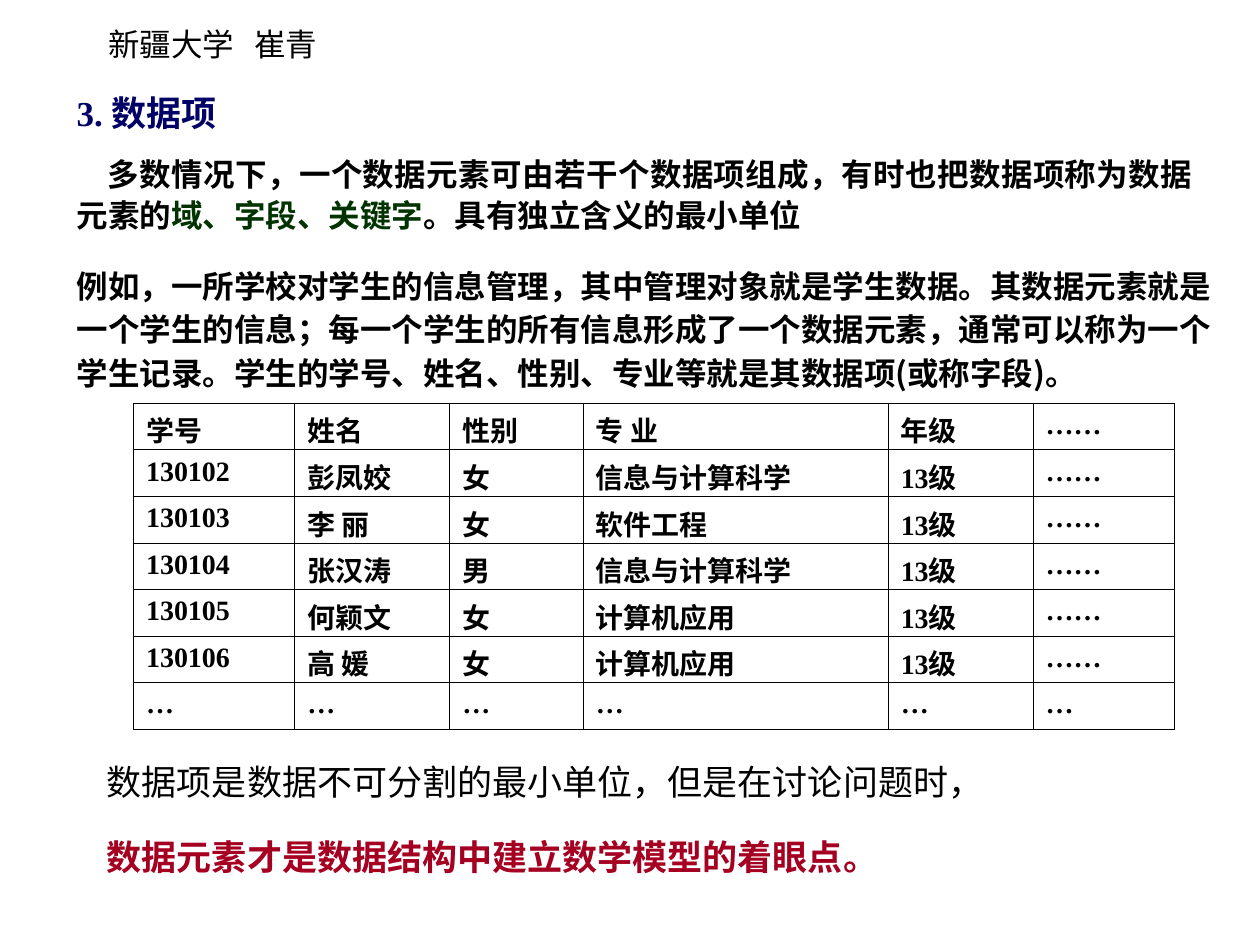
from dataclasses import dataclass

import pptx
import pptx.dml.color
import pptx.enum.text
import pptx.oxml
import pptx.oxml.ns
import pptx.util

# Grid of 100 columns and 75 rows on a 10 by 7.5 inch slide
CELL = pptx.util.Inches(0.1)
HUES = {"ink": "000000", "navy": "000066", "green": "003300", "red": "A50021"}
HAN, ROMAN = "Noto Sans CJK SC", "Times New Roman"
ALIGN = pptx.enum.text.PP_ALIGN
ANCHOR = pptx.enum.text.MSO_ANCHOR


@dataclass
class Span:
    text: str
    hue: str = "ink"
    bold: bool = True


@dataclass
class Block:
    left: float
    top: float
    width: float
    height: float
    paras: list[list[Span]]
    size: int = 18
    face: str = HAN
    wrap: bool = True
    middle: bool = False
    align: ALIGN = ALIGN.LEFT
    lead: float = 1.0
    gap: int = 0  # points between paragraphs
    indent: float = 0  # first line, in grid columns
    tab: float = 0  # tab stop, in grid columns


def grid(count: float) -> int:
    return round(count * CELL)


def style(run, span: Span, size: int, face: str) -> None:
    font = run.font
    font.size, font.bold, font.name = pptx.util.Pt(size), span.bold, face
    font.color.rgb = pptx.dml.color.RGBColor.from_string(HUES[span.hue])
    asian = pptx.oxml.parse_xml(
        f'<a:ea {pptx.oxml.ns.nsdecls("a")} typeface="{HAN}"/>')
    run.font._element.find(pptx.oxml.ns.qn("a:latin")).addnext(asian)


def draw_block(slide, block: Block) -> None:
    box = slide.shapes.add_textbox(
        *map(grid, (block.left, block.top, block.width, block.height)))
    frame = box.text_frame
    frame.word_wrap = block.wrap
    frame.vertical_anchor = ANCHOR.MIDDLE if block.middle else ANCHOR.TOP
    for num, spans in enumerate(block.paras):
        para = frame.add_paragraph() if num else frame.paragraphs[0]
        props = para._p.get_or_add_pPr()
        if block.indent:
            props.set("indent", str(grid(block.indent)))
        if block.tab:
            props.append(pptx.oxml.parse_xml(
                f'<a:tabLst {pptx.oxml.ns.nsdecls("a")}>'
                f'<a:tab pos="{grid(block.tab)}" algn="l"/></a:tabLst>'))
        para.alignment, para.line_spacing = block.align, block.lead
        if num:
            para.space_before = pptx.util.Pt(block.gap)
        for span in spans:
            run = para.add_run()
            run.text = span.text
            style(run, span, block.size, block.face)


def draw_cell(cell, text: str) -> None:
    cell.text_frame.text = text
    # Room for the tall Han line in a low row
    cell.margin_bottom = 0
    style(cell.text_frame.paragraphs[0].runs[0], Span(text), 16, ROMAN)
    props = cell._tc.get_or_add_tcPr()
    for side in "LRTB":
        props.append(pptx.oxml.parse_xml(
            f'<a:ln{side} {pptx.oxml.ns.nsdecls("a")} w="{pptx.util.Pt(0.45)}">'
            f'<a:solidFill><a:srgbClr val="{HUES["ink"]}"/></a:solidFill>'
            f'</a:ln{side}>'))
    cell.fill.background()


def draw_table(slide, left: float, top: float, widths: list[float],
               high: float, rows: list[list[str]]) -> None:
    table = slide.shapes.add_table(
        len(rows), len(widths), grid(left), grid(top),
        grid(sum(widths)), grid(high * len(rows))).table
    table.first_row = table.horz_banding = False
    for col, width in zip(table.columns, widths):
        col.width = grid(width)
    for row, texts in zip(table.rows, rows):
        row.height = grid(high)
        for cell, text in zip(row.cells, texts):
            draw_cell(cell, text)


# Wording; names of two letters are spread with an en space
PUPILS = [
    ("130102", "彭凤姣", "女", "信息与计算科学"),
    ("130103", "李 丽", "女", "软件工程"),
    ("130104", "张汉涛", "男", "信息与计算科学"),
    ("130105", "何颖文", "女", "计算机应用"),
    ("130106", "高 媛", "女", "计算机应用"),
]
ROWS = [
    ["学号", "姓名", "性别", "专 业", "年级", "……"],
    *([*pupil, "13级", "……"] for pupil in PUPILS),
    ["…"] * 6,
]
BLOCKS = [
    # Author line
    Block(7.6, 1.5, 18.7, 4, [[Span("新疆大学\t崔青", bold=False)]],
          wrap=False, tab=11.6),
    # Heading
    Block(5.1, 6.8, 16.5, 4.4, [[Span("3. 数据项", "navy")]], 20, ROMAN),
    # Definition
    Block(5.1, 11.5, 90.6, 7.6, [[
        Span("多数情况下，一个数据元素可由若干个数据项组成，"
             "有时也把数据项称为数据元素的"),
        Span("域、字段、关键字", "green"),
        Span("。具有独立含义的最小单位")]],
        align=ALIGN.JUSTIFY, lead=1.1, indent=2.45),
    # Example
    Block(5.1, 20.2, 93.3, 11.4, [[Span(
        "例如，一所学校对学生的信息管理，其中管理对象就是学生数据。"
        "其数据元素就是一个学生的信息；每一个学生的所有信息形成了一个数据元素，"
        "通常可以称为一个学生记录。"
        "学生的学号、姓名、性别、专业等就是其数据项(或称字段)。")]],
        middle=True, lead=1.15),
    # Conclusion
    Block(7.5, 59.5, 90.6, 11, [
        [Span("数据项是数据不可分割的最小单位，但是在讨论问题时，", bold=False)],
        [Span("数据元素才是数据结构中建立数学模型的着眼点。", "red")]],
        20, ROMAN, middle=True, gap=19),
]


def main() -> None:
    deck = pptx.Presentation()
    deck.slide_width, deck.slide_height = grid(100), grid(75)
    slide = deck.slides.add_slide(deck.slide_layouts[6])
    for block in BLOCKS:
        draw_block(slide, block)
    draw_table(slide, 10.6, 32, [12.8, 12.3, 10.6, 24.2, 11.5, 11.2], 3.7, ROWS)
    deck.save("out.pptx")


if __name__ == "__main__":
    main()
